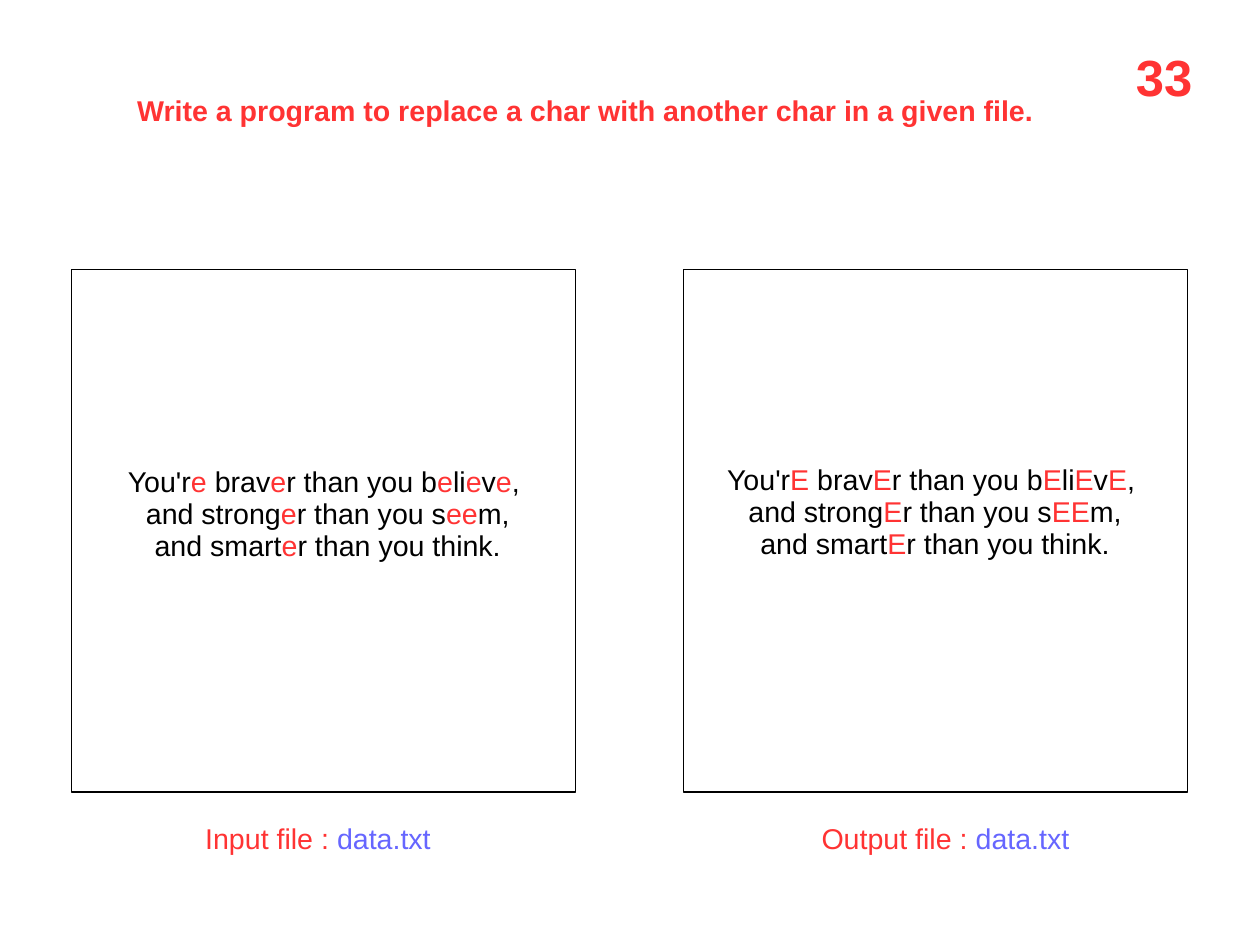
from dataclasses import dataclass
from itertools import groupby

from pptx import Presentation
from pptx.dml.color import RGBColor
from pptx.enum.shapes import MSO_SHAPE
from pptx.enum.text import MSO_ANCHOR, MSO_AUTO_SIZE, PP_ALIGN
from pptx.util import Pt

RECTANGLE = MSO_SHAPE.RECTANGLE
TOP, MIDDLE = MSO_ANCHOR.TOP, MSO_ANCHOR.MIDDLE
LEFT, CENTER = PP_ALIGN.LEFT, PP_ALIGN.CENTER
NO_AUTOFIT = MSO_AUTO_SIZE.NONE
TITLE_ONLY = 5


@dataclass(frozen=True)
class Theme:
    font: str = "Arial"
    ink: RGBColor = RGBColor(0x00, 0x00, 0x00)
    paper: RGBColor = RGBColor(0xFF, 0xFF, 0xFF)
    accent: RGBColor = RGBColor(0xFF, 0x33, 0x33)
    file_name: RGBColor = RGBColor(0x66, 0x66, 0xFF)
    body_size: float = 18
    number_size: float = 32
    line_spacing: float = 0.94
    outline: float = 0.75


THEME = Theme()
QUOTE = [
    "You're braver than you believe,",
    " and stronger than you seem,",
    " and smarter than you think.",
]
SLIDE_WIDTH, SLIDE_HEIGHT = 793.75, 595.25
PANEL_TOP, PANEL_WIDTH, PANEL_HEIGHT = 170, 317.5, 329
INPUT_LEFT, OUTPUT_LEFT = 45.2, 430.7
CAPTION_TOP, CAPTION_HEIGHT = 515.2, 28.8


def write_text(shape, lines, size=THEME.body_size, bold=False, align=LEFT,
               anchor=TOP, wrap=False, bottom_inset=3.6):
    frame = shape.text_frame
    frame.auto_size = NO_AUTOFIT
    frame.word_wrap = wrap
    frame.vertical_anchor = anchor
    frame.margin_left = frame.margin_right = Pt(7.2)
    frame.margin_top, frame.margin_bottom = Pt(3.6), Pt(bottom_inset)
    for index, pieces in enumerate(lines):
        paragraph = frame.add_paragraph() if index else frame.paragraphs[0]
        paragraph.alignment = align
        paragraph.line_spacing = THEME.line_spacing
        for words, color in pieces:
            run = paragraph.add_run()
            run.text = words
            run.font.name = THEME.font
            run.font.size = Pt(size)
            run.font.bold = bold
            run.font.color.rgb = color


def highlight(lines, letter):
    return [
        [("".join(group), THEME.accent if matches else THEME.ink)
         for matches, group in groupby(line, key=lambda char: char == letter)]
        for line in lines
    ]


def add_text(slide, left, top, width, height, lines, **text_format):
    box = slide.shapes.add_textbox(Pt(left), Pt(top), Pt(width), Pt(height))
    write_text(box, lines, **text_format)


def add_panel(slide, left):
    panel = slide.shapes.add_shape(
        RECTANGLE, Pt(left), Pt(PANEL_TOP), Pt(PANEL_WIDTH), Pt(PANEL_HEIGHT))
    panel.shadow.inherit = False
    panel.fill.solid()
    panel.fill.fore_color.rgb = THEME.paper
    panel.line.color.rgb = THEME.ink
    panel.line.width = Pt(THEME.outline)
    return panel


def add_caption(slide, left, width, label):
    add_text(slide, left, CAPTION_TOP, width, CAPTION_HEIGHT,
             [[(label, THEME.accent), ("data.txt", THEME.file_name)]])


def set_title(slide, words):
    title = slide.shapes.title
    title.left, title.top = Pt(79.2), Pt(56.9)
    title.width, title.height = Pt(579.6), Pt(28.8)
    write_text(title, [[(words, THEME.accent)]], bold=True)


def main():
    deck = Presentation()
    deck.slide_width, deck.slide_height = Pt(SLIDE_WIDTH), Pt(SLIDE_HEIGHT)
    slide = deck.slides.add_slide(deck.slide_layouts[TITLE_ONLY])
    set_title(slide, "Write a program to replace a char with another char "
                     "in a given file.")

    input_panel = add_panel(slide, INPUT_LEFT)
    write_text(input_panel, highlight(QUOTE, "e"), align=CENTER,
               anchor=MIDDLE, bottom_inset=24)

    add_panel(slide, OUTPUT_LEFT)
    replaced_quote = [line.replace("e", "E") for line in QUOTE]
    add_text(slide, 447.6, 289, 277.9, 69.1, highlight(replaced_quote, "E"),
             align=CENTER, wrap=True)

    add_caption(slide, 122.2, 161.3, "Input file : ")
    add_caption(slide, 510.5, 175.7, "Output file : ")
    add_text(slide, 708.5, 28.1, 49.7, 45.4, [[("33", THEME.accent)]],
             size=THEME.number_size, bold=True)
    deck.save("out.pptx")


if __name__ == "__main__":
    main()
